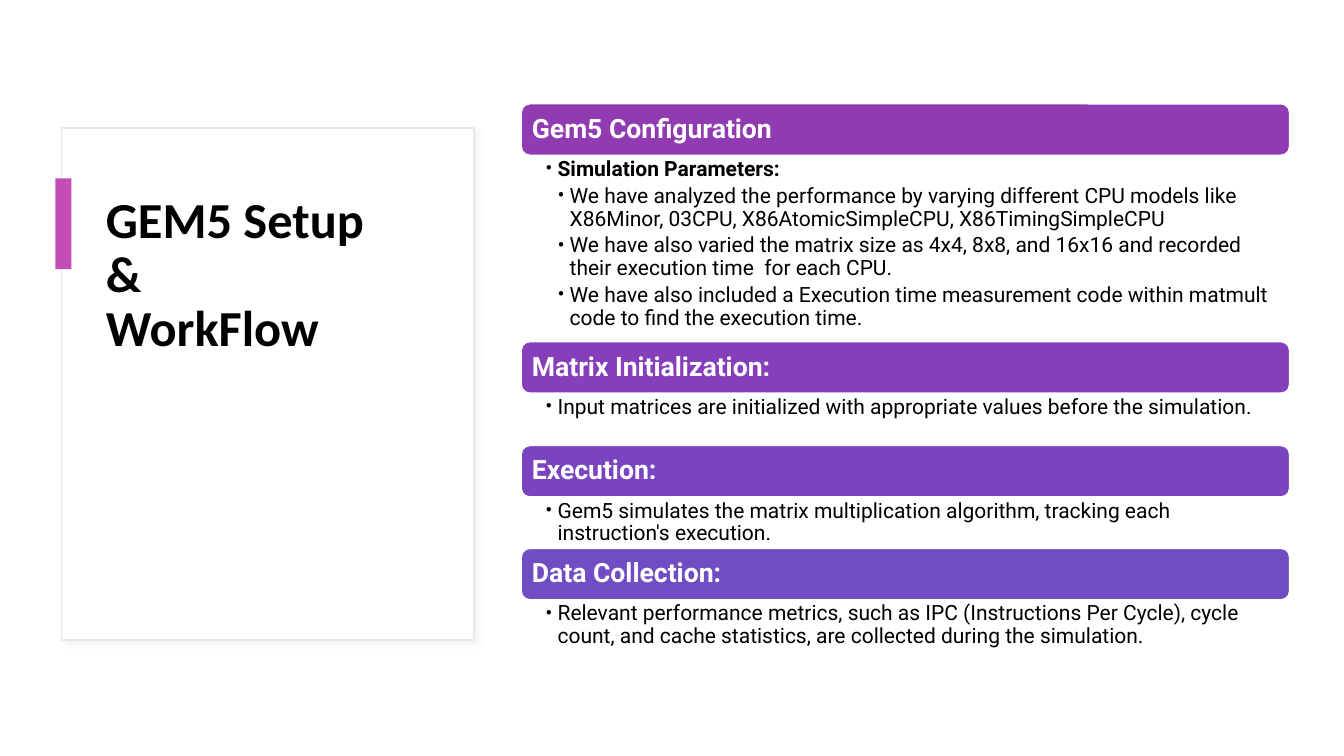
from dataclasses import dataclass
from lxml.etree import SubElement as Sub
from pptx import Presentation
from pptx.dml.color import RGBColor as RGB
from pptx.enum.shapes import MSO_SHAPE as Shape
from pptx.enum.text import MSO_ANCHOR as Anchor, MSO_AUTO_SIZE as Fit, PP_ALIGN as Align
from pptx.oxml.ns import qn
from pptx.util import Pt

TITLE = "GEM5 Setup \v& \vWorkFlow"
PARTS = [
    ("Gem5 Configuration", "903BB1", 185, [
        (0, True, "Simulation Parameters:"),
        (1, False, "We have analyzed the performance by varying different CPU models like "
                   "X86Minor, 03CPU, X86AtomicSimpleCPU, X86TimingSimpleCPU"),
        (1, False, "We have also varied the matrix size as 4x4, 8x8, and 16x16 and recorded "
                   "their execution time  for each CPU."),
        (1, False, "We have also included a Execution time measurement code within matmult "
                   "code to find the execution time."),
    ]),
    ("Matrix Initialization:", "863EBA", 52, [
        (0, False, "Input matrices are initialized with appropriate values before the simulation."),
    ]),
    ("Execution:", "7A44C0", 51, [
        (0, False, "Gem5 simulates the matrix multiplication algorithm, tracking each "
                   "instruction's execution."),
    ]),
    ("Data Collection:", "704DC3", 52, [
        (0, False, "Relevant performance metrics, such as IPC (Instructions Per Cycle), cycle "
                   "count, and cache statistics, are collected during the simulation."),
    ]),
]


@dataclass(frozen=True)
class Theme:
    head: str = "Calibri"
    body: str = "Roboto"
    ink: str = "000000"
    paper: str = "FFFFFF"
    edge: str = "E3E9EF"
    shade: str = "D9D9D9"
    accent: str = "C34DB4"
    big: int = 36
    mid: int = 19
    small: int = 15


T = Theme()
PX = 9144
LEFT, TOP, WIDE, BAR = 517, 103, 762, 51
STEP = 12


def place(shape, *box):
    shape.left, shape.top, shape.width, shape.height = (n * PX for n in box)


def block(kind, box, fill, edge=None):
    shape = deck.shapes.add_shape(kind, *(n * PX for n in box))
    shape.shadow.inherit = False
    shape.fill.solid()
    shape.fill.fore_color.rgb = RGB.from_string(fill)
    if edge:
        shape.line.color.rgb = RGB.from_string(edge)
        shape.line.width = Pt(1)
    else:
        shape.line.fill.background()
    return shape


def frame(shape, pads, anchor):
    text = shape.text_frame
    text.word_wrap = True
    text.auto_size = Fit.NONE
    text.vertical_anchor = anchor
    text.margin_left, text.margin_top, text.margin_right, text.margin_bottom = (
        n * PX for n in pads)
    return text


def style(para, face, size, color, bold, after=0):
    para.alignment = Align.LEFT
    para.line_spacing = 0.9
    para.space_before = Pt(0)
    para.space_after = Pt(after)
    for run in para.runs:
        font = run.font
        font.name, font.size, font.bold = face, Pt(size), bold
        font.color.rgb = RGB.from_string(color)


def bullet(para, level):
    para.level = level
    props = para._p.get_or_add_pPr()
    props.set("marL", str(STEP * (level + 1) * PX))
    props.set("indent", str(-STEP * PX))
    Sub(props, qn("a:buFont"), typeface=T.body)
    Sub(props, qn("a:buChar"), char="•")


def shade(shape):
    effects = shape._element.spPr.find(qn("a:effectLst"))
    outer = Sub(effects, qn("a:outerShdw"), blurRad=str(Pt(4)), dist=str(Pt(3)),
                dir="2700000", algn="tl", rotWithShape="0")
    color = Sub(outer, qn("a:srgbClr"), val=T.shade)
    Sub(color, qn("a:alpha"), val="30000")


show = Presentation()
show.slide_width, show.slide_height = 1333 * PX, 750 * PX
deck = show.slides.add_slide(show.slide_layouts[4])
title, *lists = deck.placeholders

card = block(Shape.RECTANGLE, (61, 127, 409, 508), T.paper, T.edge)
shade(card)
title._element.addprevious(card._element)

place(title, 95, 188, 339, 385)
text = frame(title, (10, 5, 10, 5), Anchor.TOP)
text.text = TITLE
style(text.paragraphs[0], T.head, T.big, T.ink, True)

block(Shape.RECTANGLE, (55, 177, 16, 90), T.accent)

y = TOP
for (name, fill, high, items), body in zip(PARTS, lists):
    bar = block(Shape.ROUNDED_RECTANGLE, (LEFT, y, WIDE, BAR), fill, T.paper)
    text = frame(bar, (8, 8, 8, 8), Anchor.MIDDLE)
    text.text = name
    style(text.paragraphs[0], T.body, T.mid, T.paper, True)

    place(body, LEFT, y + BAR, WIDE, high)
    text = frame(body, (24, 3, 15, 3), Anchor.TOP)
    text.text = "\n".join(line for _, _, line in items)
    for para, (level, bold, _) in zip(text.paragraphs, items):
        bullet(para, level)
        style(para, T.body, T.small, T.ink, bold, 3)
    y += BAR + high

show.save("out.pptx")
